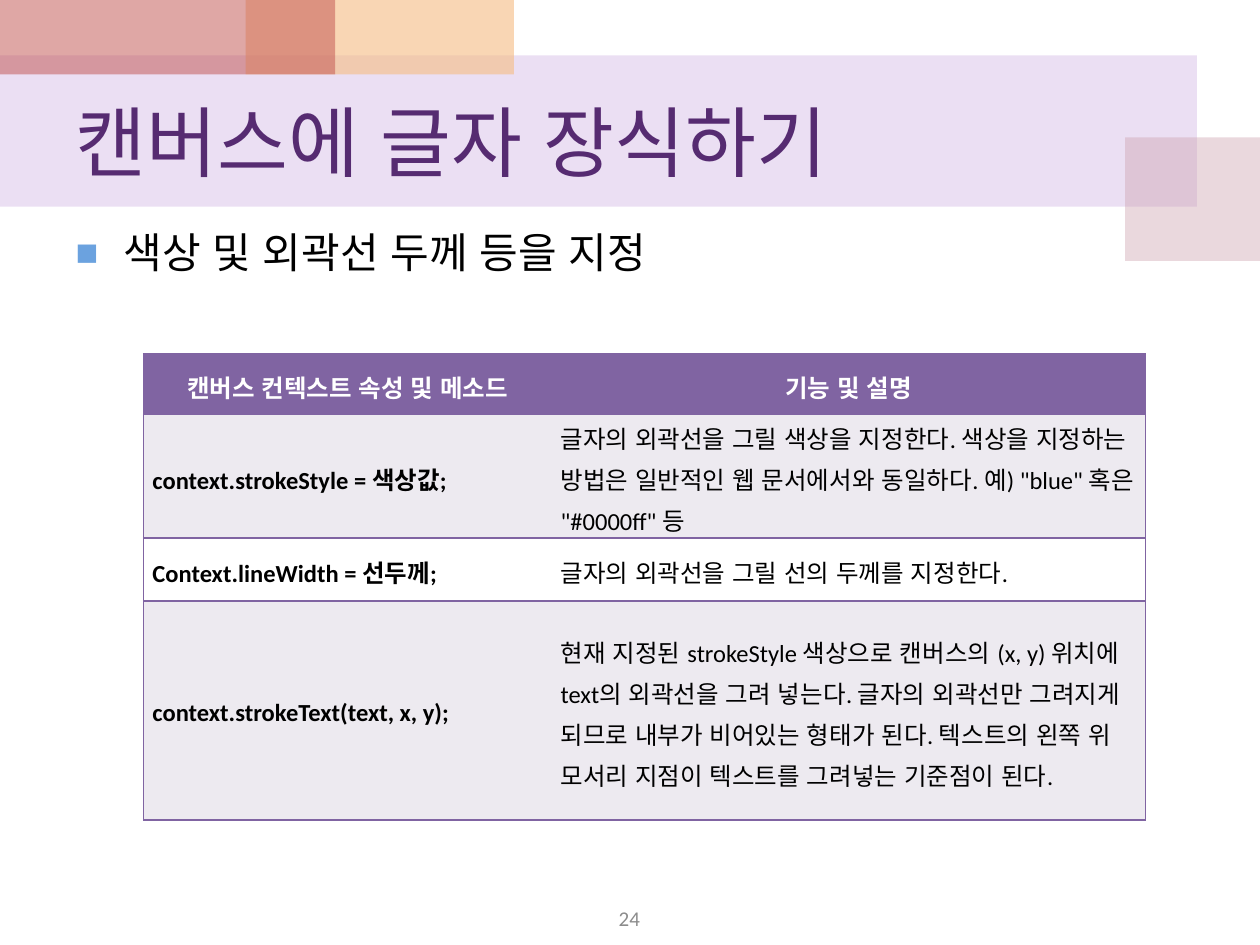
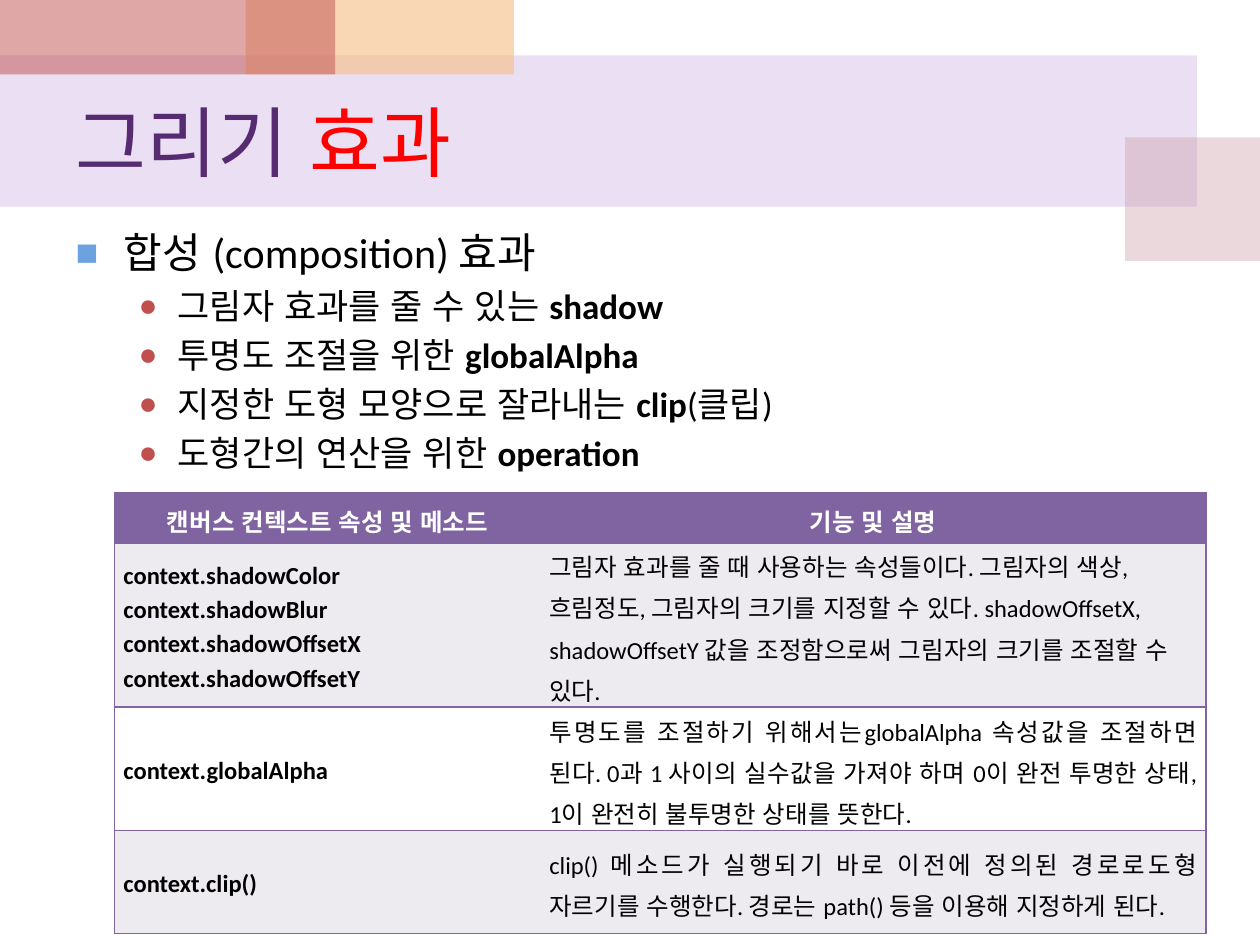
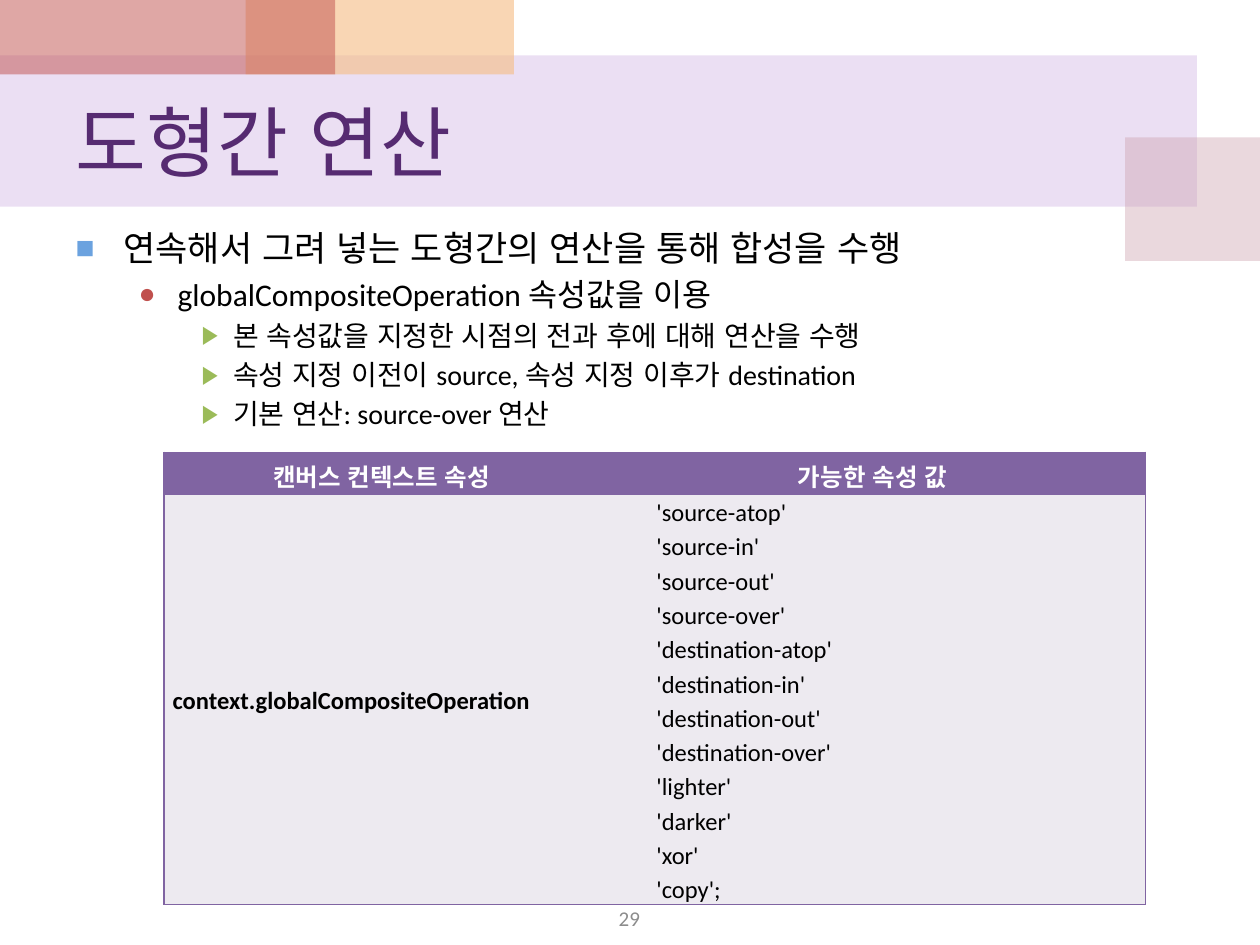
from dataclasses import dataclass
from typing import NamedTuple

from lxml.etree import SubElement
from pptx import Presentation
from pptx.dml.color import RGBColor
from pptx.enum.lang import MSO_LANGUAGE_ID
from pptx.enum.shapes import MSO_SHAPE
from pptx.enum.text import MSO_ANCHOR, MSO_AUTO_SIZE, PP_ALIGN
from pptx.oxml.ns import qn
from pptx.util import Inches, Pt

# Shared look
FONT = "Calibri"
TITLE_COLOR, RED, BLACK, WHITE, GRAY = "562B71", "FF0000", "000000", "FFFFFF", "8C8C8C"
TABLE_COLOR, ROW_TINT = "8064A2", "EDEAF0"


class Area(NamedTuple):
    left: float
    top: float
    width: float
    height: float


class Band(NamedTuple):
    area: Area
    color: str
    opacity: int


class BulletStyle(NamedTuple):
    symbol: str
    color: str
    margin: float
    hanging: float


class Span(NamedTuple):
    text: str
    bold: bool | None = None
    color: str | None = None


class Item(NamedTuple):
    level: int
    size: int
    spans: list[Span]


class Row(NamedTuple):
    height: float
    name: list[str]
    description: list[str]
    align: PP_ALIGN = PP_ALIGN.LEFT
    indent: float = 0


@dataclass
class Grid:
    left: float
    top: float
    widths: tuple[float, float]
    rows: list[Row]


@dataclass
class Lesson:
    title: list[Span]
    items: list[Item]
    grid: Grid
    number: str | None = None


BANDS = [
    Band(Area(0, 0.44, 9.5, 1.2), "BF98D8", 30),
    Band(Area(8.93, 1.09, 1.07, 0.98), "CC9EAC", 40),
    Band(Area(1.95, 0, 2.13, 0.59), "F5BC83", 60),
    Band(Area(0, 0, 2.66, 0.59), "C0504D", 50),
]
TITLE_AREA = Area(0.5, 0.59, 9, 1.05)
BODY_AREA = Area(0.5, 1.75, 9, 4.95)
NUMBER_AREA = Area(3.83, 7.15, 2.33, 0.27)
BULLETS = [
    BulletStyle("■", "6BA2DF", 0.38, 0.38),
    BulletStyle("●", "C0504D", 0.81, 0.31),
    BulletStyle("▶", "9BBB59", 1.25, 0.25),
]

# Slide content
LESSONS = [
    Lesson(
        [Span("캔버스에 글자 장식하기")],
        [Item(0, 24, [Span("색상 및 외곽선 두께 등을 지정")])],
        Grid(1.14, 2.81, (3.24, 4.71), [
            Row(0.48, ["캔버스 컨텍스트 속성 및 메소드"], ["기능 및 설명"]),
            Row(0.98, ["context.strokeStyle = 색상값;"],
                ["글자의 외곽선을 그릴 색상을 지정한다. 색상을 지정하는 방법은 일반적인 웹 문서에서와 "
                 "동일하다. 예) \"blue\" 혹은 \"#0000ff\" 등"]),
            Row(0.5, ["Context.lineWidth = 선두께;"],
                ["글자의 외곽선을 그릴 선의 두께를 지정한다."]),
            Row(1.74, ["context.strokeText(text, x, y);"],
                ["현재 지정된 strokeStyle 색상으로 캔버스의 (x, y) 위치에 text의 외곽선을 그려 넣는다. "
                 "글자의 외곽선만 그려지게 되므로 내부가 비어있는 형태가 된다. "
                 "텍스트의 왼쪽 위 모서리 지점이 텍스트를 그려넣는 기준점이 된다."]),
        ]),
        "24",
    ),
    Lesson(
        [Span("그리기 "), Span("효과", color=RED)],
        [
            Item(0, 24, [Span("합성 (composition) 효과")]),
            Item(1, 20, [Span("그림자 효과를 줄 수 있는 "), Span("shadow", True)]),
            Item(1, 20, [Span("투명도 조절을 위한 "), Span("globalAlpha", True)]),
            Item(1, 20, [Span("지정한 도형 모양으로 잘라내는 "), Span("clip", True), Span("(클립)")]),
            Item(1, 20, [Span("도형간의 연산을 위한 "), Span("operation", True)]),
        ],
        Grid(0.91, 3.91, (3.38, 5.28), [
            Row(0.4, ["캔버스 컨텍스트 속성 및 메소드"], ["기능 및 설명"]),
            Row(1.09, ["context.shadowColor", "context.shadowBlur",
                       "context.shadowOffsetX", "context.shadowOffsetY"],
                ["그림자 효과를 줄 때 사용하는 속성들이다. 그림자의 색상, 흐림정도, 그림자의 크기를 "
                 "지정할 수 있다. shadowOffsetX, shadowOffsetY 값을 조정함으로써 그림자의 크기를 "
                 "조절할 수 있다."]),
            Row(0.84, ["context.globalAlpha"],
                ["투명도를 조절하기 위해서는globalAlpha 속성값을 조절하면 된다. 0과 1 사이의 실수값을 "
                 "가져야 하며 0이 완전 투명한 상태, 1이 완전히 불투명한 상태를 뜻한다."],
                PP_ALIGN.JUSTIFY),
            Row(0.82, ["context.clip()"],
                ["clip() 메소드가 실행되기 바로 이전에 정의된 경로로도형 자르기를 수행한다. "
                 "경로는 path() 등을 이용해 지정하게 된다."],
                PP_ALIGN.JUSTIFY),
        ]),
    ),
    Lesson(
        [Span("도형간 연산")],
        [
            Item(0, 20, [Span("연속해서 그려 넣는 도형간의 연산을 통해 합성을 수행")]),
            Item(1, 18, [Span("globalCompositeOperation 속성값을 이용")]),
            Item(2, 16, [Span("본 속성값을 지정한 시점의 전과 후에 대해 연산을 수행")]),
            Item(2, 16, [Span("속성 지정 이전이 source, 속성 지정 이후가 destination")]),
            Item(2, 16, [Span("기본 연산: source-over 연산")]),
        ],
        Grid(1.3, 3.59, (3.46, 4.33), [
            Row(0.33, ["캔버스 컨텍스트 속성"], ["가능한 속성 값"]),
            Row(3.26, ["context.globalCompositeOperation"],
                ["'source-atop'", "'source-in'", "'source-out'", "'source-over'",
                 "'destination-atop'", "'destination-in'", "'destination-out'",
                 "'destination-over'", "'lighter'", "'darker'", "'xor'", "'copy';"],
                indent=0.38),
        ]),
        "29",
    ),
]


def rgb(color: str) -> RGBColor:
    return RGBColor.from_string(color)


def inches(area: Area) -> list[int]:
    return [Inches(length) for length in area]


def place(shape, area: Area) -> None:
    shape.left, shape.top, shape.width, shape.height = inches(area)


def style_font(font, size: int, color: str, bold: bool | None = None) -> None:
    font.name, font.size, font.bold = FONT, Pt(size), bold
    font.language_id = MSO_LANGUAGE_ID.KOREAN
    font.color.rgb = rgb(color)


def add_spans(para, spans: list[Span]) -> None:
    for span in spans:
        run = para.add_run()
        run.text = span.text
        run.font.language_id = MSO_LANGUAGE_ID.KOREAN
        if span.bold:
            run.font.bold = True
        if span.color:
            run.font.color.rgb = rgb(span.color)


def next_paragraph(frame, index: int):
    return frame.add_paragraph() if index else frame.paragraphs[0]


def add_bands(page) -> None:
    """Place the translucent bands behind the placeholders."""
    for index, band in enumerate(BANDS):
        box = page.shapes.add_shape(MSO_SHAPE.RECTANGLE, *inches(band.area))
        box.shadow.inherit = False
        box.fill.solid()
        box.fill.fore_color.rgb = rgb(band.color)
        box.line.fill.background()
        color = box.element.find(".//" + qn("a:srgbClr"))
        SubElement(color, qn("a:alpha"), val=str(band.opacity * 1000))
        page.shapes.element.insert(2 + index, box.element)


def fill_title(title, spans: list[Span]) -> None:
    place(title, TITLE_AREA)
    frame = title.text_frame
    frame.auto_size = MSO_AUTO_SIZE.NONE
    frame.vertical_anchor = MSO_ANCHOR.MIDDLE
    para = frame.paragraphs[0]
    para.alignment = PP_ALIGN.LEFT
    style_font(para.font, 44, TITLE_COLOR)
    add_spans(para, spans)


def add_bullet(para, style: BulletStyle) -> None:
    props = para._p.get_or_add_pPr()
    props.set("marL", str(Inches(style.margin)))
    props.set("indent", str(-Inches(style.hanging)))
    SubElement(SubElement(props, qn("a:buClr")), qn("a:srgbClr"), val=style.color)
    SubElement(props, qn("a:buSzPct"), val="90000")
    SubElement(props, qn("a:buChar"), char=style.symbol)


def fill_body(body, items: list[Item]) -> None:
    place(body, BODY_AREA)
    frame = body.text_frame
    frame.auto_size = MSO_AUTO_SIZE.NONE
    for index, item in enumerate(items):
        para = next_paragraph(frame, index)
        para.level = item.level
        add_bullet(para, BULLETS[item.level])
        if index == 0:
            para.space_before = Pt(0)
        style_font(para.font, item.size, BLACK)
        add_spans(para, item.spans)


def add_number(page, number: str) -> None:
    frame = page.shapes.add_textbox(*inches(NUMBER_AREA)).text_frame
    frame.word_wrap = True
    frame.vertical_anchor = MSO_ANCHOR.MIDDLE
    para = frame.paragraphs[0]
    para.text = number
    para.alignment = PP_ALIGN.CENTER
    style_font(para.font, 12, GRAY)


def set_borders(cell, inner_side: str) -> None:
    """Draw every border of the cell but the one between the columns."""
    props = cell._tc.get_or_add_tcPr()
    for index, side in enumerate(("lnL", "lnR", "lnT", "lnB")):
        line = SubElement(props, qn("a:" + side), w=str(Pt(1)))
        if side == inner_side:
            SubElement(line, qn("a:noFill"))
        else:
            SubElement(SubElement(line, qn("a:solidFill")), qn("a:srgbClr"), val=TABLE_COLOR)
        props.insert(index, line)


def fill_cell(cell, lines: list[str], fill: str, color: str, bold: bool,
              align: PP_ALIGN, indent: float = 0) -> None:
    cell.vertical_anchor = MSO_ANCHOR.MIDDLE
    cell.margin_left = cell.margin_right = Inches(0.07)
    cell.margin_top = cell.margin_bottom = 0
    cell.fill.solid()
    cell.fill.fore_color.rgb = rgb(fill)
    for index, line in enumerate(lines):
        para = next_paragraph(cell.text_frame, index)
        para.alignment = align
        para.line_spacing = 1.15
        if indent:
            para._p.get_or_add_pPr().set("indent", str(Inches(indent)))
        style_font(para.font, 14, color, bold)
        add_spans(para, [Span(line)])


def add_grid(page, grid: Grid) -> None:
    area = Area(grid.left, grid.top, sum(grid.widths), sum(row.height for row in grid.rows))
    table = page.shapes.add_table(len(grid.rows), 2, *inches(area)).table
    table.horz_banding = False
    for column, width in zip(table.columns, grid.widths):
        column.width = Inches(width)
    for index, row in enumerate(grid.rows):
        table.rows[index].height = Inches(row.height)
        name, description = table.cell(index, 0), table.cell(index, 1)
        if index == 0:
            for cell, lines in ((name, row.name), (description, row.description)):
                fill_cell(cell, lines, TABLE_COLOR, WHITE, True, PP_ALIGN.CENTER)
        else:
            fill = ROW_TINT if index % 2 else WHITE
            fill_cell(name, row.name, fill, BLACK, True, PP_ALIGN.LEFT)
            fill_cell(description, row.description, fill, BLACK, False, row.align, row.indent)
        set_borders(name, "lnR")
        set_borders(description, "lnL")


def add_lesson(deck, lesson: Lesson) -> None:
    page = deck.slides.add_slide(deck.slide_layouts[1])
    add_bands(page)
    fill_title(page.shapes.title, lesson.title)
    fill_body(page.placeholders[1], lesson.items)
    if lesson.number:
        add_number(page, lesson.number)
    add_grid(page, lesson.grid)


def main() -> None:
    deck = Presentation()
    deck.slide_width, deck.slide_height = Inches(10), Inches(7.5)
    for lesson in LESSONS:
        add_lesson(deck, lesson)
    deck.save("out.pptx")


if __name__ == "__main__":
    main()
